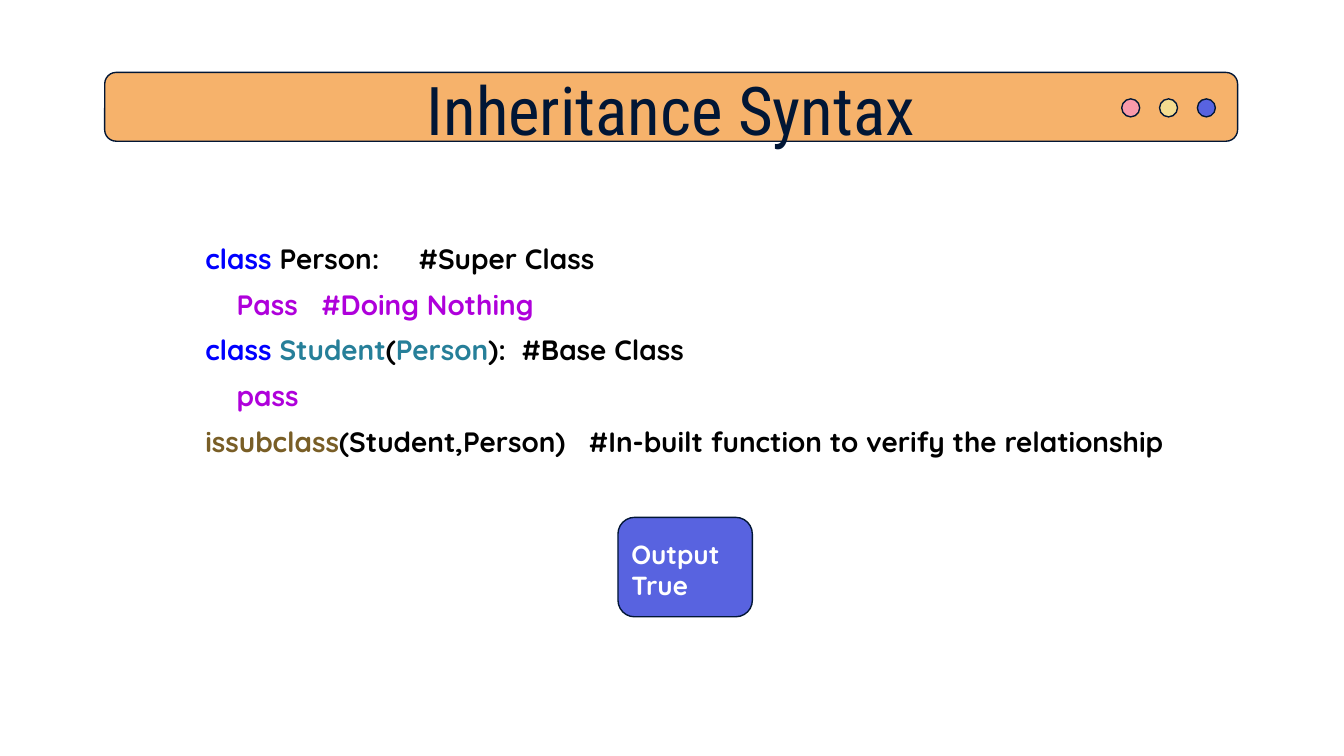
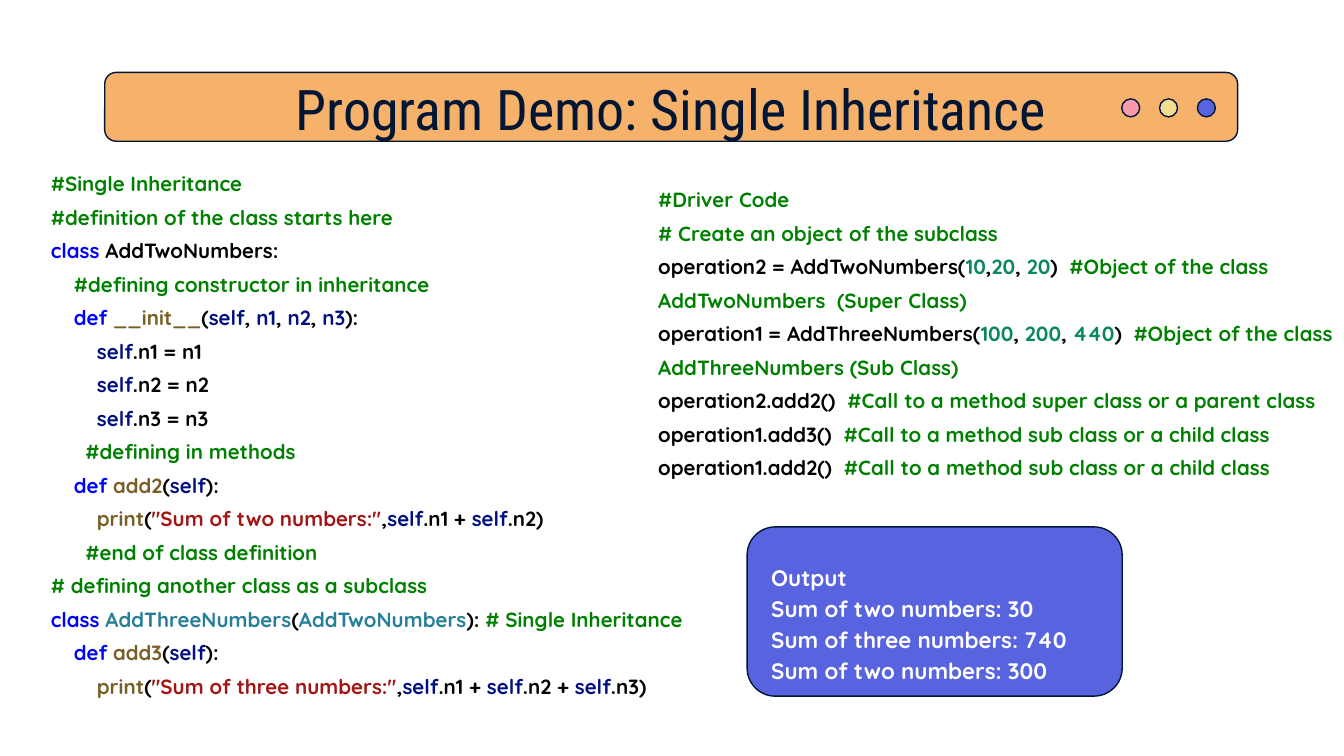
"""Build two slides on class inheritance: the syntax and a program demo."""
import pptx
import pptx.dml.color
import pptx.enum.shapes
import pptx.enum.text
import pptx.util
from lxml import etree

Cm = pptx.util.Cm
Shape = pptx.enum.shapes.MSO_SHAPE
Align = pptx.enum.text.PP_ALIGN
Anchor = pptx.enum.text.MSO_ANCHOR

THEME = {
    "color": {
        "navy": "011635", "band": "F6B26B", "pink": "F99AAA", "sand": "F4DC90",
        "blue": "5863E0", "white": "FFFFFF", "ink": "000000", "key": "0000FF",
        "flow": "AF00DB", "type": "267F99", "func": "795E26", "self": "001080",
        "note": "008000", "text": "A31515", "num": "09885A",
    },
    "font": {"head": "Roboto Condensed", "body": "Quicksand"},
    "size": {"large": 36, "head": 30, "code": 15, "panel": 14, "small": 12, "tiny": 11},
    "line": 0.75,
}

SYNTAX = [
    "<key>class<ink> Person:     #Super Class",
    "    <flow>Pass   #Doing Nothing",
    "<key>class <type>Student<ink>(<type>Person<ink>):  #Base Class",
    "    <flow>pass",
    "<func>issubclass<ink>(Student,Person)   #In-built function to verify the relationship",
]
CLASSES = [
    "<note>#Single Inheritance",
    "<note>#definition of the class starts here",
    "<key>class<ink> AddTwoNumbers:",
    "    <note>#defining constructor in inheritance",
    "    <key>def <func>__init__<ink>(<self>self<ink>, <self>n1<ink>, <self>n2<ink>, <self>n3<ink>):",
    "        <self>self<ink>.n1 = n1",
    "        <self>self<ink>.n2 = n2",
    "        <self>self<ink>.n3 = n3",
    "      <note>#defining in methods",
    "    <key>def <func>add2<ink>(<self>self<ink>):",
    '        <func>print<ink>(<text>"Sum of two numbers:"<ink>,<self>self<ink>.n1 + <self>self<ink>.n2)',
    "      <note>#end of class definition",
    "<note># defining another class as a subclass",
    "<key>class <type>AddThreeNumbers<ink>(<type>AddTwoNumbers<ink>): <note># Single Inheritance",
    "    <key>def <func>add3<ink>(<self>self<ink>):",
    '        <func>print<ink>(<text>"Sum of three numbers:"<ink>,'
    "<self>self<ink>.n1 + <self>self<ink>.n2 + <self>self<ink>.n3)",
]
DRIVER = [
    "<note>#Driver Code",
    "<note># Create an object of the subclass",
    "operation2 = AddTwoNumbers(<num>10<ink>,<num>20<ink>, <num>20<ink>)  "
    "<note>#Object of the class AddTwoNumbers  (Super Class)",
    "operation1 = AddThreeNumbers(<num>100<ink>, <num>200<ink>, <num>440<ink>)  "
    "<note>#Object of the class AddThreeNumbers (Sub Class)",
    "operation2.add2()  <note>#Call to a method super class or a parent class",
    "operation1.add3()  <note>#Call to a method sub class or a child class",
    "operation1.add2()  <note>#Call to a method sub class or a child class",
]
SLIDES = [
    {
        "title": "Inheritance Syntax", "head": "large", "layout": 1, "size": "code",
        "code": [(SYNTAX, (3.63, 4.09, 19.53, 4.65))],
        "panel": {"lines": ["Output", "True"], "box": (11.68, 9.78, 2.54, 1.88),
                  "size": "panel", "pad": (0.16, 0.21), "first": 1.15, "lead": 1.0},
    },
    {
        "title": "Program Demo: Single Inheritance", "head": "head", "layout": 3, "size": "tiny",
        "code": [(CLASSES, (0.71, 2.82, 15.11, 10.57)), (DRIVER, (12.19, 3.12, 13.39, 6.1))],
        "panel": {"lines": ["Output", "Sum of two numbers: 30", "Sum of three numbers: 740",
                            "Sum of two numbers: 300"],
                  "box": (14.12, 9.96, 7.09, 3.2),
                  "size": "small", "pad": (0.3, 0.3), "first": 1.5, "lead": 1.15},
    },
]
BAND = (1.98, 1.37, 21.41, 1.3)
TITLE = (3.78, 1.25, 17.81, 1.6)
DOTS = ["pink", "sand", "blue"]
DOT = {"left": 21.2, "top": 1.87, "side": 0.34, "step": 0.715}


def tint(name):
    return pptx.dml.color.RGBColor.from_string(THEME["color"][name])


def place(shape, box):
    shape.left, shape.top, shape.width, shape.height = map(Cm, box)


def write(shape, lines, size, font="body", color="ink", bold=True, pad=(0.25, 0.25),
          lead=1.0, first=None, align=Align.LEFT, anchor=Anchor.TOP):
    frame = shape.text_frame
    frame.word_wrap = True
    frame.auto_size = pptx.enum.text.MSO_AUTO_SIZE.NONE
    frame.vertical_anchor = anchor
    frame.margin_left = frame.margin_right = Cm(pad[0])
    frame.margin_top = frame.margin_bottom = Cm(pad[1])
    for place_no, line in enumerate(lines):
        para = frame.add_paragraph() if place_no else frame.paragraphs[0]
        props = para._p.get_or_add_pPr()
        props.set("marL", "0")
        props.set("indent", "0")
        etree.SubElement(props, pptx.oxml.ns.qn("a:buNone"))
        para.alignment = align
        para.space_before = pptx.util.Pt(0)
        para.line_spacing = lead if place_no else first or lead
        for chunk in line.split("<"):
            tag, _, words = chunk.rpartition(">")
            if words:
                run = para.add_run()
                run.text = words
                run.font.name = THEME["font"][font]
                run.font.size = pptx.util.Pt(THEME["size"][size])
                run.font.bold = bold
                run.font.color.rgb = tint(tag or color)


def draw(slide, kind, box, fill):
    shape = slide.shapes.add_shape(kind, *map(Cm, box))
    shape.shadow.inherit = False
    shape.fill.solid()
    shape.fill.fore_color.rgb = tint(fill)
    shape.line.color.rgb = tint("navy")
    shape.line.width = pptx.util.Pt(THEME["line"])
    return shape


def add_head(slide, text, size):
    title = slide.shapes.title
    band = draw(slide, Shape.ROUNDED_RECTANGLE, BAND, "band")
    title.element.addprevious(band.element)
    for spot, fill in enumerate(DOTS):
        left = DOT["left"] + spot * DOT["step"]
        draw(slide, Shape.OVAL, (left, DOT["top"], DOT["side"], DOT["side"]), fill)
    place(title, TITLE)
    write(title, [text], size, font="head", color="navy", bold=False, pad=(0, 0),
          align=Align.CENTER, anchor=Anchor.MIDDLE)


def add_panel(slide, lines, box, **style):
    panel = draw(slide, Shape.ROUNDED_RECTANGLE, box, "blue")
    write(panel, lines, color="white", **style)


def main():
    deck = pptx.Presentation()
    deck.slide_width, deck.slide_height = Cm(25.4), Cm(14.29)
    for page in SLIDES:
        slide = deck.slides.add_slide(deck.slide_layouts[page["layout"]])
        add_head(slide, page["title"], page["head"])
        for slot, (lines, box) in enumerate(page["code"], 1):
            body = slide.placeholders[slot]
            place(body, box)
            write(body, lines, page["size"], lead=1.36)
        add_panel(slide, **page["panel"])
    deck.save("out.pptx")


if __name__ == "__main__":
    main()
